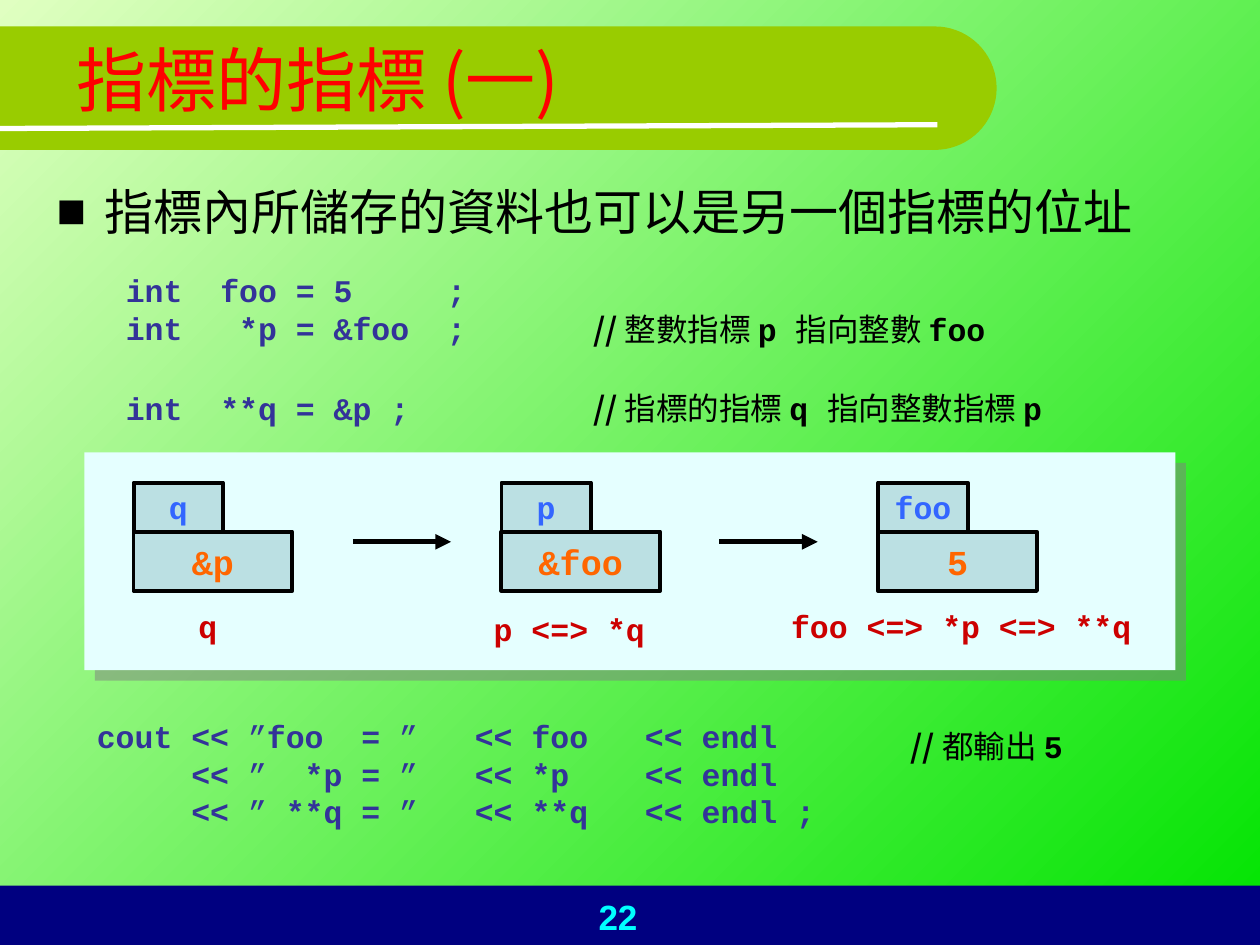
import math
from typing import NamedTuple

import lxml.etree
import pptx
import pptx.dml.color
import pptx.enum.shapes
import pptx.enum.text
import pptx.oxml.ns
import pptx.util

Inches = pptx.util.Inches
Pt = pptx.util.Pt
RGBColor = pptx.dml.color.RGBColor
SHAPE = pptx.enum.shapes.MSO_SHAPE
ALIGN = pptx.enum.text.PP_ALIGN
ANCHOR = pptx.enum.text.MSO_ANCHOR
AUTOSIZE = pptx.enum.text.MSO_AUTO_SIZE
qn = pptx.oxml.ns.qn

BLACK = RGBColor(0x00, 0x00, 0x00)
WHITE = RGBColor(0xFF, 0xFF, 0xFF)
RED = RGBColor(0xFF, 0x00, 0x00)
DARK_RED = RGBColor(0xCC, 0x00, 0x00)
ORANGE = RGBColor(0xFF, 0x66, 0x00)
BLUE = RGBColor(0x33, 0x66, 0xFF)
INDIGO = RGBColor(0x33, 0x33, 0x99)
NAVY = RGBColor(0x00, 0x00, 0x80)
CYAN = RGBColor(0x00, 0xFF, 0xFF)
OLIVE = RGBColor(0x99, 0xCC, 0x00)
PALE_CYAN = RGBColor(0xE5, 0xFF, 0xFF)
BOX_FILL = RGBColor(0xBB, 0xE0, 0xE3)
GREEN = RGBColor(0x00, 0xE4, 0x00)
PALE_GREEN = RGBColor(0xE0, 0xFF, 0xC1)

CODE = "Courier New"
CJK = "Noto Sans CJK SC"


class Span(NamedTuple):
    """A stretch of text in one font."""
    text: str
    bold: bool = True
    font: str = CODE


class Passage(NamedTuple):
    """A text box: its place, its spans and their format."""
    left: float
    top: float
    width: float
    height: float
    spans: list[Span]
    color: RGBColor
    align: ALIGN = ALIGN.LEFT


class Variable(NamedTuple):
    """A variable in memory: its name and the value it holds."""
    left: float
    name: str
    value: str


def write(frame, text: str, *, size: float = 18, color: RGBColor = BLACK,
          font: str = CODE, bold: bool = True, align: ALIGN = ALIGN.LEFT) -> None:
    """Append formatted text to the first paragraph of a text frame."""
    paragraph = frame.paragraphs[0]
    paragraph.alignment = align
    for number, line in enumerate(text.split("\n")):
        if number:
            paragraph.add_line_break()
        run = paragraph.add_run()
        run.text = line
        run.font.size, run.font.bold, run.font.name = Pt(size), bold, font
        run.font.color.rgb = color
        east_asian = lxml.etree.SubElement(run.font._element, qn("a:ea"))
        east_asian.set("typeface", CJK)


def add_passage(slide, passage: Passage) -> None:
    """Add a wrapping text box with mixed spans."""
    box = slide.shapes.add_textbox(*map(Inches, passage[:4]))
    box.text_frame.word_wrap = True
    box.text_frame.auto_size = AUTOSIZE.SHAPE_TO_FIT_TEXT
    for span in passage.spans:
        write(box.text_frame, span.text, color=passage.color, font=span.font,
              bold=span.bold, align=passage.align)


def paint(shape, fill: RGBColor, border: float = 0) -> None:
    """Give a shape a flat fill and an optional black border."""
    shape.shadow.inherit = False
    shape.fill.solid()
    shape.fill.fore_color.rgb = fill
    if border:
        shape.line.color.rgb = BLACK
        shape.line.width = Pt(border)
    else:
        shape.line.fill.background()


def add_rectangle(slide, left: float, top: float, width: float, height: float,
                  fill: RGBColor, border: float = 0):
    """Add a plain rectangle."""
    shape = slide.shapes.add_shape(
        SHAPE.RECTANGLE, *map(Inches, (left, top, width, height)))
    paint(shape, fill, border)
    return shape


def add_line(slide, start: tuple[float, float], end: tuple[float, float],
             color: RGBColor, arrow: bool = False) -> None:
    """Add a 3 pt straight line, with an arrowhead at its end if asked."""
    line = slide.shapes.add_connector(
        pptx.enum.shapes.MSO_CONNECTOR.STRAIGHT, *map(Inches, start + end))
    line.line.color.rgb = color
    line.line.width = Pt(3)
    properties = line.element.spPr
    if arrow:
        lxml.etree.SubElement(properties.find(qn("a:ln")), qn("a:tailEnd"), type="triangle")
    lxml.etree.SubElement(properties, qn("a:effectLst"))


def add_title_band(slide) -> None:
    """Add the olive band with a half-round right end, and its white rule."""
    radius, center_x, center_y = 0.49, 7.42, 0.7
    angles = [math.radians(degree) for degree in range(-90, 91, 5)]
    arc = [(Inches(center_x + radius * math.cos(angle)),
            Inches(center_y + radius * math.sin(angle))) for angle in angles]
    builder = slide.shapes.build_freeform(0, Inches(center_y - radius))
    builder.add_line_segments(arc + [(0, Inches(center_y + radius))], close=True)
    paint(builder.convert_to_shape(), OLIVE)
    add_line(slide, (0, 1.02), (7.44, 0.99), WHITE)


def add_panel(slide) -> None:
    """Add the diagram panel with its offset grey shadow."""
    panel = add_rectangle(slide, 0.67, 3.59, 8.66, 1.73, PALE_CYAN)
    effects = panel.element.spPr.find(qn("a:effectLst"))
    shadow = lxml.etree.SubElement(effects, qn("a:outerShdw"), blurRad="0",
                                   dist=str(Pt(8.5)), dir="2700000", algn="ctr", rotWithShape="0")
    color = lxml.etree.SubElement(shadow, qn("a:srgbClr"), val="808080")
    lxml.etree.SubElement(color, qn("a:alpha"), val="50000")


def add_variable(slide, variable: Variable) -> None:
    """Add a value box with the name box sitting on top of it."""
    for top, width, height, text, size, color in (
            (4.22, 1.26, 0.47, variable.value, 20, ORANGE),
            (3.83, 0.71, 0.39, variable.name, 18, BLUE)):
        box = add_rectangle(slide, variable.left, top, width, height, BOX_FILL, 2.24)
        box.text_frame.word_wrap = False
        box.text_frame.vertical_anchor = ANCHOR.MIDDLE
        write(box.text_frame, text, size=size, color=color, align=ALIGN.CENTER)


def place(slide, placeholder, left: float, top: float, width: float, height: float):
    """Move a placeholder to its place, in front, and return its text frame."""
    placeholder.left, placeholder.top = Inches(left), Inches(top)
    placeholder.width, placeholder.height = Inches(width), Inches(height)
    slide.shapes.element.append(placeholder.element)
    placeholder.text_frame.auto_size = AUTOSIZE.NONE
    return placeholder.text_frame


def add_headings(slide) -> None:
    """Fill the title and the bulleted body."""
    title = place(slide, slide.shapes.title, 0.51, 0, 9, 1.25)
    title.vertical_anchor = ANCHOR.MIDDLE
    write(title, "指標的指標 (一)", size=40, color=RED, font=CJK, bold=False)
    body = place(slide, slide.placeholders[1], 0.35, 1.39, 9, 0.63)
    write(body, "指標內所儲存的資料也可以是另一個指標的位址", size=28, bold=False)
    body.paragraphs[0].space_before = Pt(7)
    properties = body.paragraphs[0]._p.get_or_add_pPr()
    properties.set("marL", str(Inches(0.38)))
    properties.set("indent", str(Inches(-0.38)))
    lxml.etree.SubElement(properties, qn("a:buChar"), char="■")


VARIABLES = [Variable(1.06, "q", "&p"), Variable(3.98, "p", "&foo"), Variable(6.97, "foo", "5")]
SLASHES = Span("// ", font=CJK)
QUOTE = Span("”", bold=False)
PASSAGES = [
    Passage(0.9, 4.77, 1.5, 0.4, [Span("q")], DARK_RED, ALIGN.CENTER),
    Passage(3.82, 4.79, 2.36, 0.4, [Span("p <=> *q")], DARK_RED),
    Passage(6.18, 4.77, 3.15, 0.4, [Span("foo <=> *p <=> **q")], DARK_RED),
    Passage(0.9, 2.1, 3.86, 0.7, [Span("int  foo = 5     ;\nint   *p = &foo  ;")], INDIGO),
    Passage(0.9, 3.04, 3.7, 0.4, [Span("int  **q = &p ;")], INDIGO),
    Passage(4.61, 2.41, 4.8, 0.4, [SLASHES, Span("整數指標 ", False), Span("p "),
                                   Span("指向整數 ", False), Span("foo")], BLACK),
    Passage(4.61, 3.04, 4.33, 0.4, [SLASHES, Span("指標的指標 ", False), Span("q "),
                                    Span("指向整數指標 ", False), Span("p")], BLACK),
    Passage(7.13, 5.72, 1.65, 0.4, [SLASHES, Span("都輸出 ", False, CJK), Span("5")], BLACK),
    Passage(0.67, 5.64, 8.11, 1, [
        Span("cout << "), QUOTE, Span("foo  = "), QUOTE,
        Span("   << foo   << endl \n     << "), QUOTE, Span("  *p = "), QUOTE,
        Span("   << *p    << endl \n     << "), QUOTE, Span(" **q = "), QUOTE,
        Span("   << **q   << endl ;")], INDIGO),
]

deck = pptx.Presentation()
deck.slide_width, deck.slide_height = Inches(10), Inches(7.5)
slide = deck.slides.add_slide(deck.slide_layouts[1])
backdrop = slide.background.fill
backdrop.gradient()
backdrop.gradient_angle = 135
for stop, position, shade in zip(backdrop.gradient_stops, (0, 1), (GREEN, PALE_GREEN)):
    stop.position, stop.color.rgb = position, shade

add_rectangle(slide, 0, 7.03, 10, 0.47, NAVY)
add_title_band(slide)
add_panel(slide)
add_headings(slide)
for variable in VARIABLES:
    add_variable(slide, variable)
for arrow_left in (2.8, 5.71):
    add_line(slide, (arrow_left, 4.3), (arrow_left + 0.78, 4.3), BLACK, arrow=True)
for passage in PASSAGES:
    add_passage(slide, passage)
page_number = slide.shapes.add_textbox(*map(Inches, (3.74, 7.06, 2.33, 0.44)))
page_number.text_frame.word_wrap = True
write(page_number.text_frame, "22", size=20, color=CYAN, font="Arial", align=ALIGN.CENTER)
deck.save("out.pptx")
